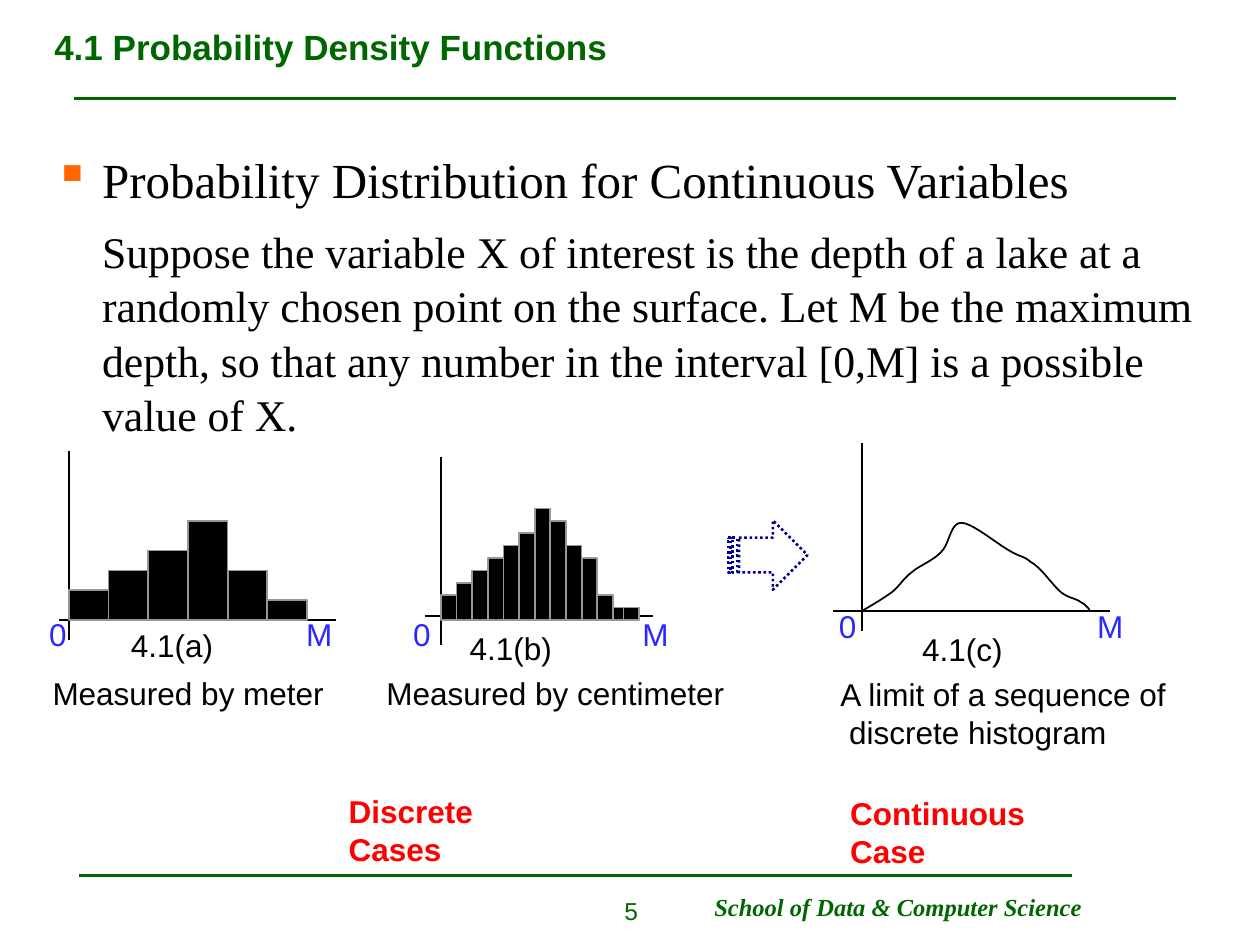
from dataclasses import dataclass

from lxml.etree import SubElement
from pptx import Presentation
from pptx.dml.color import RGBColor
from pptx.enum.dml import MSO_LINE
from pptx.enum.shapes import MSO_CONNECTOR, MSO_SHAPE
from pptx.enum.text import MSO_ANCHOR, MSO_AUTO_SIZE, PP_ALIGN
from pptx.oxml.ns import qn
from pptx.util import Cm, Pt


@dataclass(frozen=True)
class Theme:
    sans: str = "Arial"
    serif: str = "Times New Roman"
    green: RGBColor = RGBColor(0x00, 0x66, 0x00)
    black: RGBColor = RGBColor(0x00, 0x00, 0x00)
    gray: RGBColor = RGBColor(0x96, 0x96, 0x96)
    blue: RGBColor = RGBColor(0x29, 0x29, 0xFF)
    navy: RGBColor = RGBColor(0x00, 0x00, 0x99)
    red: RGBColor = RGBColor(0xFF, 0x00, 0x00)
    bullet: str = "FF6600"
    title: Pt = Pt(20)
    heading: Pt = Pt(28)
    body: Pt = Pt(25)
    label: Pt = Pt(18)
    footer: Pt = Pt(14)
    rule: Pt = Pt(1.5)
    thin: Pt = Pt(1)


theme = Theme()
prs = Presentation()
prs.slide_width, prs.slide_height = Cm(25.4), Cm(19.05)
slide = prs.slides.add_slide(prs.slide_layouts[5])
shapes = slide.shapes


def add_line(x1, y1, x2, y2, color, width):
    line = shapes.add_connector(MSO_CONNECTOR.STRAIGHT, Cm(x1), Cm(y1), Cm(x2), Cm(y2))
    line.line.color.rgb = color
    line.line.width = width
    SubElement(line._element.spPr, qn("a:effectLst"))


def add_label(text, left, top, width, color, size=theme.label, font=theme.sans, bold=False):
    frame = shapes.add_textbox(Cm(left), Cm(top), Cm(width), Cm(1.02)).text_frame
    frame.word_wrap = False
    frame.text = text
    for paragraph in frame.paragraphs:
        paragraph.font.name = font
        paragraph.font.size = size
        paragraph.font.bold = bold
        paragraph.font.color.rgb = color
    return frame


# Rules and footer
add_line(1.5, 1.98, 23.7, 1.98, theme.green, theme.rule)
add_line(1.6, 17.65, 21.62, 17.65, theme.green, theme.rule)
school = add_label("School of Data & Computer Science", 14.15, 17.86, 7.92, theme.green,
                   theme.footer, theme.serif, True)
school.paragraphs[0].font.italic = True
page_number = add_label("5", 10.52, 17.93, 2.59, theme.green, theme.footer)
page_number.word_wrap = True
page_number.paragraphs[0].alignment = PP_ALIGN.RIGHT

# Title
title = shapes.title
title.left, title.top, title.width, title.height = Cm(0.84), Cm(0.08), Cm(23.72), Cm(1.73)
title.text_frame.text = "4.1 Probability Density Functions"
title.text_frame.auto_size = MSO_AUTO_SIZE.NONE
title.text_frame.vertical_anchor = MSO_ANCHOR.MIDDLE
heading = title.text_frame.paragraphs[0]
heading.alignment = PP_ALIGN.LEFT
heading.font.name, heading.font.size, heading.font.bold = theme.sans, theme.title, True
heading.font.color.rgb = theme.green

# Topic and explanation
body = shapes.add_textbox(Cm(0.84), Cm(2.77), Cm(23.72), Cm(6)).text_frame
body.word_wrap = True
body.margin_top = Cm(0.2)
body.text = (
    "Probability Distribution for Continuous Variables\n"
    "Suppose the variable X of interest is the depth of a lake at a randomly chosen point "
    "on the surface. Let M be the maximum depth, so that any number in the interval [0,M] "
    "is a possible value of X."
)
topic, explanation = body.paragraphs
for paragraph, size in ((topic, theme.heading), (explanation, theme.body)):
    paragraph._p.get_or_add_pPr().set("marL", str(Cm(0.97)))
    paragraph.line_spacing = 1.04
topic_props = topic._p.pPr
topic_props.set("indent", str(Cm(-0.97)))
bullet_color = SubElement(topic_props, qn("a:buClr"))
SubElement(bullet_color, qn("a:srgbClr")).set("val", theme.bullet)
SubElement(topic_props, qn("a:buChar")).set("char", "▪")
explanation.space_before = Pt(8)
for paragraph, size in ((topic, theme.heading), (explanation, theme.body)):
    paragraph.font.name, paragraph.font.size = theme.serif, size
    paragraph.font.color.rgb = theme.black

# Axes: vertical (x, top, bottom), horizontal (y, left, right)
for (x, top, bottom), (y, left, right) in (
    ((1.39, 9.09, 12.9), (12.5, 1.19, 6.78)),
    ((8.89, 9.22, 13), (12.42, 8.56, 13.16)),
    ((17.37, 8.94, 12.73), (12.32, 16.79, 22.38)),
):
    add_line(x, top, x, bottom, theme.black, theme.thin)
    add_line(left, y, right, y, theme.black, theme.thin)

# Histograms: the last centimeter bar ends at the maximum depth and overlaps its neighbour
baseline = 12.5
meter_heights = [0.6, 1, 1.4, 2, 1, 0.4]
centimeter_heights = [0.5, 0.75, 1, 1.25, 1.5, 1.75, 2.25, 2, 1.5, 1.25, 0.5, 0.25, 0.25]
for start, bar_width, last_offset, heights in (
    (1.39, 0.8, 4, meter_heights),
    (8.89, 0.315, 3.68, centimeter_heights),
):
    for i, height in enumerate(heights):
        offset = min(i * bar_width, last_offset)
        bar = shapes.add_shape(MSO_SHAPE.RECTANGLE, Cm(start + offset), Cm(baseline - height),
                               Cm(bar_width), Cm(height))
        bar.shadow.inherit = False
        bar.fill.solid()
        bar.fill.fore_color.rgb = theme.black
        bar.line.color.rgb = theme.gray
        bar.line.width = theme.thin

# Density curve: cubic segments (two controls and an end), sampled into short lines
curve_start = (17.37, 12.32)
curve_segments = [
    ((17.6, 12.19), (17.81, 12.06), (17.98, 11.94)),
    ((18.16, 11.79), (18.21, 11.66), (18.39, 11.53)),
    ((18.54, 11.4), (18.82, 11.3), (18.97, 11.13)),
    ((19.15, 10.97), (19.15, 10.54), (19.38, 10.54)),
    ((19.61, 10.54), (20.14, 11), (20.4, 11.13)),
    ((20.62, 11.25), (20.62, 11.2), (20.78, 11.33)),
    ((21.01, 11.46), (21.21, 11.79), (21.39, 11.94)),
    ((21.54, 12.06), (21.69, 12.06), (21.79, 12.14)),
    ((21.89, 12.19), (21.97, 12.29), (21.97, 12.32)),
]
steps = 10
curve_points = []
segment_start = curve_start
for control_1, control_2, end in curve_segments:
    for step in range(1, steps + 1):
        t = step / steps
        curve_points.append(tuple(
            Cm((1 - t) ** 3 * a + 3 * (1 - t) ** 2 * t * b + 3 * (1 - t) * t ** 2 * c + t ** 3 * d)
            for a, b, c, d in zip(segment_start, control_1, control_2, end)
        ))
    segment_start = end
builder = shapes.build_freeform(Cm(curve_start[0]), Cm(curve_start[1]))
builder.add_line_segments(curve_points, close=False)
density = builder.convert_to_shape()
density.shadow.inherit = False
density.fill.background()
density.line.color.rgb = theme.black
density.line.width = theme.thin

# Figure labels
for text, left, top, width, color in (
    ("4.1(a)", 2.39, 12.5, 2.16, theme.black),
    ("0", 0.74, 12.27, 0.86, theme.blue),
    ("M", 5.92, 12.27, 1.04, theme.blue),
    ("Measured by meter", 0.81, 13.46, 5.97, theme.black),
    ("4.1(b)", 9.22, 12.55, 2.16, theme.black),
    ("0", 8.08, 12.27, 0.86, theme.blue),
    ("M", 12.7, 12.27, 1.04, theme.blue),
    ("Measured by centimeter", 7.54, 13.46, 7.32, theme.black),
    ("4.1(c)", 18.34, 12.57, 2.13, theme.black),
    ("0", 16.66, 12.12, 0.86, theme.blue),
    ("M", 21.87, 12.12, 1.04, theme.blue),
):
    add_label(text, left, top, width, color)
limit_note = add_label("A limit of a sequence of\ndiscrete histogram", 16.69, 13.49, 7.11, theme.black)
limit_note.paragraphs[1]._p.get_or_add_pPr().set("marL", str(Cm(0.18)))

# Transition from discrete to continuous
transition = shapes.add_shape(MSO_SHAPE.STRIPED_RIGHT_ARROW, Cm(14.68), Cm(10.49), Cm(1.6), Cm(1.4))
transition.shadow.inherit = False
transition.fill.background()
transition.line.color.rgb = theme.navy
transition.line.width = theme.rule
transition.line.dash_style = MSO_LINE.ROUND_DOT

# Case names
add_label("Discrete Cases", 6.78, 15.85, 5.05, theme.red, bold=True)
add_label("Continuous Case", 16.89, 15.88, 5.72, theme.red, bold=True)

prs.save("out.pptx")
